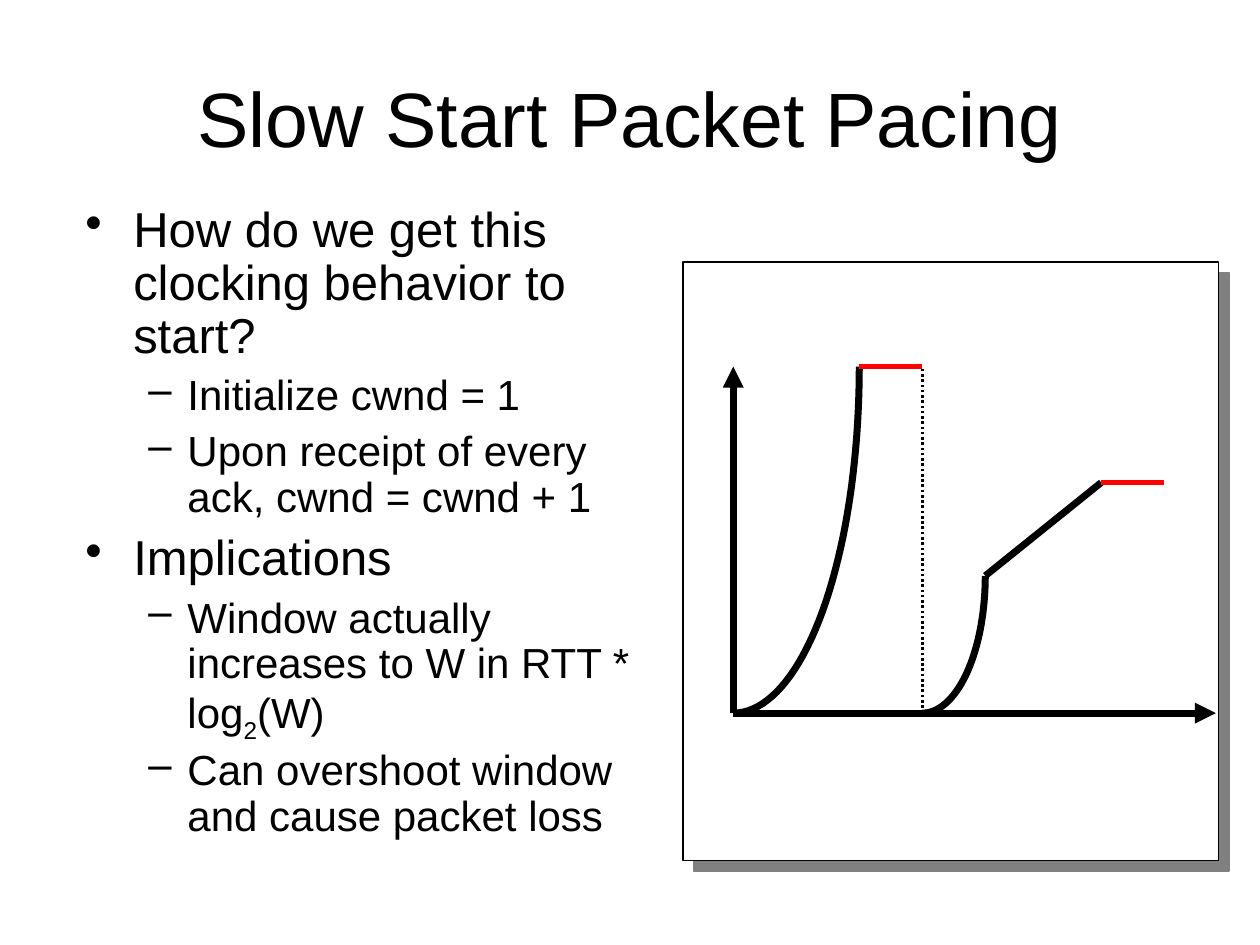
from math import cos, pi, sin

from lxml.etree import SubElement
from pptx import Presentation
from pptx.dml.color import RGBColor
from pptx.enum.dml import MSO_LINE
from pptx.enum.shapes import MSO_CONNECTOR, MSO_SHAPE
from pptx.enum.text import MSO_ANCHOR, PP_ALIGN
from pptx.oxml.ns import qn
from pptx.util import Inches, Pt

BLACK = RGBColor(0x00, 0x00, 0x00)
WHITE = RGBColor(0xFF, 0xFF, 0xFF)
RED = RGBColor(0xFF, 0x00, 0x00)
SHADOW = RGBColor(0x80, 0x80, 0x80)
FONT = "Arial"

# Content: (level, text pieces); every second piece is a subscript
TITLE = "Slow Start Packet Pacing"
POINTS = [
    (0, ["How do we get this clocking behavior to start?"]),
    (1, ["Initialize cwnd = 1"]),
    (1, ["Upon receipt of every ack, cwnd = cwnd + 1"]),
    (0, ["Implications"]),
    (1, ["Window actually increases to W in RTT * log", "2", "(W)"]),
    (1, ["Can overshoot window and cause packet loss"]),
]
LEVELS = [
    {"size": 28, "before": 7, "bullet": "•", "margin": 0.38, "indent": -0.38},
    {"size": 24, "before": 6, "bullet": "–", "margin": 0.81, "indent": -0.31},
]

# Layout: left, top, width, height in inches
TITLE_BOX = (0.5, 0.3, 9, 1.25)
POINTS_BOX = (0.58, 1.58, 4.67, 5.33)
PANEL_BOX = (5.42, 2.08, 4.25, 4.75)

# Graph: axis positions, then the stages of the window size over time
START, BASE, TOP, AXIS_END = 5.82, 5.66, 2.91, 9.65
PEAK, LOSS = START + 1, START + 1.5
THRESHOLD = (LOSS + 0.5, 4.57)
SECOND_PEAK = (8.74, 3.83)
STALL = 0.5
CURVES = [((START, BASE), (PEAK, TOP)), ((LOSS, BASE), THRESHOLD)]
LINES = [
    {"from": (START, BASE), "to": (START, TOP), "arrow": True},
    {"from": (START, BASE), "to": (AXIS_END, BASE), "arrow": True},
    {"from": THRESHOLD, "to": SECOND_PEAK},
    {"from": (PEAK, TOP), "to": (LOSS, TOP), "color": RED, "width": 3},
    {"from": (LOSS, BASE), "to": (LOSS, TOP), "width": 1.5, "dash": MSO_LINE.ROUND_DOT},
    {"from": SECOND_PEAK, "to": (SECOND_PEAK[0] + STALL, SECOND_PEAK[1]),
     "color": RED, "width": 3},
]


def place(box):
    return [Inches(length) for length in box]


def style_line(line, color=BLACK, width=4):
    line.color.rgb = color
    line.width = Pt(width)


def style_font(font, size):
    for name, value in {"name": FONT, "size": Pt(size), "bold": False}.items():
        setattr(font, name, value)
    font.color.rgb = BLACK


def add_line(shapes, stage):
    connector = shapes.add_connector(
        MSO_CONNECTOR.STRAIGHT, *place(stage["from"]), *place(stage["to"]))
    style_line(connector.line, stage.get("color", BLACK), stage.get("width", 4))
    if "dash" in stage:
        connector.line.dash_style = stage["dash"]
    properties = connector._element.spPr
    if stage.get("arrow"):
        SubElement(properties.find(qn("a:ln")), qn("a:tailEnd"), type="triangle")
    SubElement(properties, qn("a:effectLst"))


def add_curve(shapes, start, end, steps=40):
    """Quarter ellipse that leaves start level and reaches end upright."""
    (x, y), (end_x, end_y) = start, end
    angles = [pi / 2 * step / steps for step in range(steps + 1)]
    points = [place((x + (end_x - x) * sin(a), end_y + (y - end_y) * cos(a)))
              for a in angles]
    builder = shapes.build_freeform(*points[0])
    builder.add_line_segments(points[1:], close=False)
    curve = builder.convert_to_shape()
    curve.fill.background()
    curve.shadow.inherit = False
    style_line(curve.line)


def add_point(paragraph, level, pieces, first):
    look = LEVELS[level]
    properties = paragraph._p.get_or_add_pPr()
    properties.set("marL", str(Inches(look["margin"])))
    properties.set("indent", str(Inches(look["indent"])))
    SubElement(properties, qn("a:buChar"), char=look["bullet"])
    paragraph.level = level
    paragraph.line_spacing = 0.9
    paragraph.space_before = Pt(0 if first else look["before"])
    for number, piece in enumerate(pieces):
        run = paragraph.add_run()
        run.text = piece
        style_font(run.font, look["size"])
        if number % 2:
            run._r.get_or_add_rPr().set("baseline", "-25000")


def main():
    deck = Presentation()
    deck.slide_width, deck.slide_height = Inches(10), Inches(7.5)
    slide = deck.slides.add_slide(deck.slide_layouts[5])
    shapes = slide.shapes

    # Title
    title = shapes.title
    title.left, title.top, title.width, title.height = place(TITLE_BOX)
    title.text_frame.text = TITLE
    title.text_frame.vertical_anchor = MSO_ANCHOR.MIDDLE
    heading = title.text_frame.paragraphs[0]
    heading.alignment = PP_ALIGN.CENTER
    style_font(heading.runs[0].font, 44)

    # Bullet points
    frame = shapes.add_textbox(*place(POINTS_BOX)).text_frame
    frame.word_wrap = True
    for number, (level, pieces) in enumerate(POINTS):
        paragraph = frame.add_paragraph() if number else frame.paragraphs[0]
        add_point(paragraph, level, pieces, first=number == 0)

    # Panel with a hard shadow
    panel = shapes.add_shape(MSO_SHAPE.RECTANGLE, *place(PANEL_BOX))
    panel.fill.solid()
    panel.fill.fore_color.rgb = WHITE
    style_line(panel.line, width=0.75)
    panel.shadow.inherit = False
    effects = panel._element.spPr.find(qn("a:effectLst"))
    shadow = SubElement(effects, qn("a:outerShdw"), dist=str(Pt(8.5)),
                        dir=str(45 * 60000), algn="ctr", rotWithShape="0")
    SubElement(shadow, qn("a:srgbClr"), val=str(SHADOW))

    # Graph
    for start, end in CURVES:
        add_curve(shapes, start, end)
    for stage in LINES:
        add_line(shapes, stage)

    deck.save("out.pptx")


if __name__ == "__main__":
    main()
